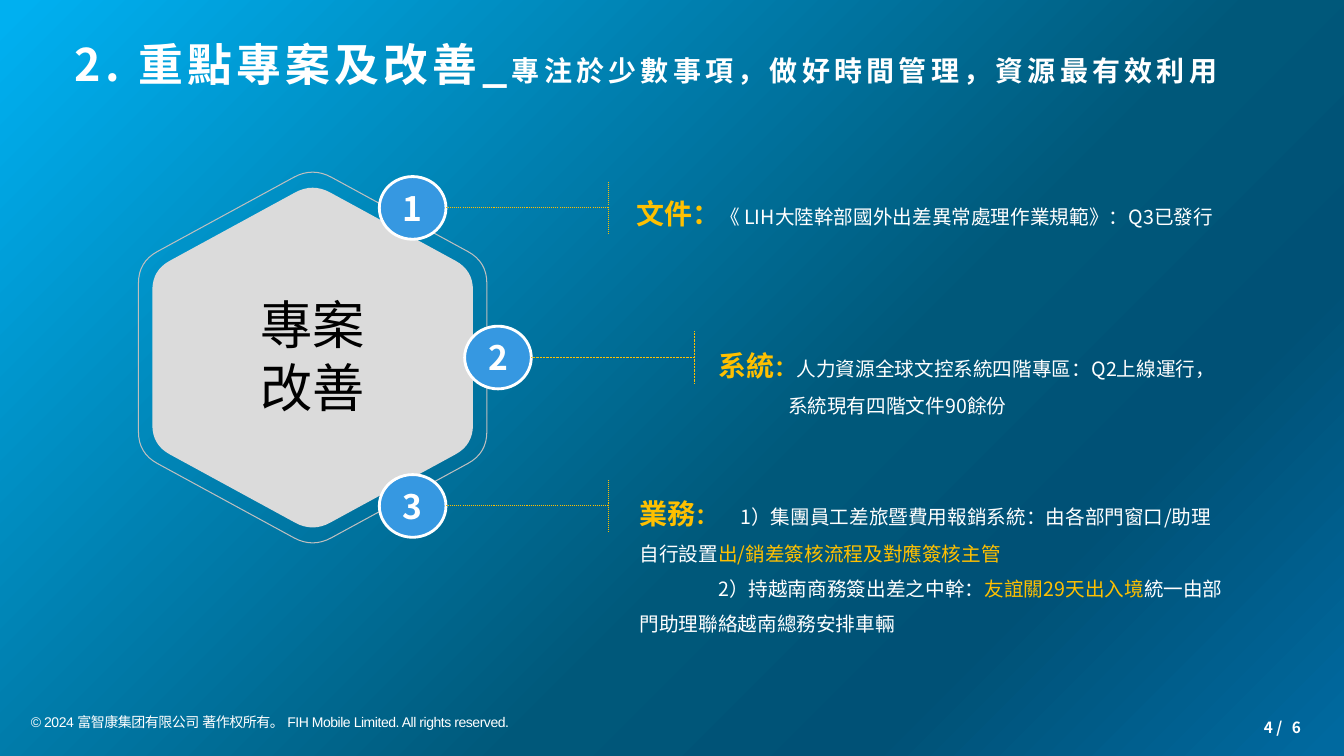
from lxml.etree import SubElement
from pptx import Presentation
from pptx.dml.color import RGBColor
from pptx.enum.dml import MSO_LINE
from pptx.enum.shapes import MSO_CONNECTOR, MSO_SHAPE
from pptx.enum.text import MSO_ANCHOR, MSO_AUTO_SIZE, PP_ALIGN
from pptx.oxml import parse_xml
from pptx.oxml.ns import nsdecls, qn
from pptx.util import Cm, Pt

WHITE = RGBColor(0xFF, 0xFF, 0xFF)
BLACK = RGBColor(0x00, 0x00, 0x00)
GOLD = RGBColor(0xFF, 0xC0, 0x00)
BADGE_BLUE = RGBColor(0x36, 0x98, 0xE1)
HEXAGON_GREY = RGBColor(0xDB, 0xDB, 0xDB)
OUTLINE_GREY = RGBColor(0xBF, 0xBF, 0xBF)
GRADIENT = [
    (1, RGBColor(0x00, 0xB0, 0xF0)),
    (60, RGBColor(0x00, 0x58, 0x7A)),
    (77, RGBColor(0x00, 0x51, 0x76)),
    (99, RGBColor(0x00, 0x69, 0x9F)),
]
SANS = "Noto Sans CJK SC"
WIDTH, HEIGHT = 33.87, 19.05

# Each item: badge centre, text box (left, top, width, height), alignment,
# line width and paragraphs of (first-line indent, tab stop, runs)
ITEMS = [
    ((10.4, 5.24), (16.03, 4.52, 15.29, 2.06), PP_ALIGN.JUSTIFY, 0.75, [
        (0, None, [("文件：", 20, GOLD, True),
                   ("《 LIH大陸幹部國外出差異常處理作業規範》：Q3已發行", 14, WHITE, False)]),
    ]),
    ((12.55, 9.01), (18.1, 8.36, 13.21, 2.18), PP_ALIGN.LEFT, 0.5, [
        (0, None, [("系統", 20, GOLD, True), ("：", 16, GOLD, True),
                   ("人力資源全球文控系統四階專區：Q2上線運行，", 14, WHITE, False)]),
        (1.76, None, [("系統現有四階文件90餘份", 14, WHITE, False)]),
    ]),
    ((10.4, 12.75), (16.12, 12.09, 14.7, 3.99), PP_ALIGN.LEFT, 0.75, [
        (0, 2.18, [("業務", 20, GOLD, True), ("：\t", 16, GOLD, True),
                   ("1）集團員工差旅暨費用報銷系統：由各部門窗口/助理自行設置", 14, WHITE, False),
                   ("出/銷差簽核流程及對應簽核主管", 14, GOLD, False)]),
        (1.98, None, [("2）持越南商務簽出差之中幹：", 14, WHITE, False),
                      ("友誼關29天出入境", 14, GOLD, False),
                      ("統一由部門助理聯絡越南總務安排車輛", 14, WHITE, False)]),
    ]),
]


def add_run(paragraph, text, size, color, bold=False, font=SANS, spacing=None):
    run = paragraph.add_run()
    run.text = text
    run.font.size = Pt(size)
    run.font.bold = bold
    run.font.color.rgb = color
    run.font.name = font
    properties = run.font._element
    SubElement(properties, qn("a:ea")).set("typeface", font)
    if spacing is not None:
        properties.set("spc", str(round(spacing * 100)))


def prepare_frame(shape, anchor=MSO_ANCHOR.TOP, margin=0):
    frame = shape.text_frame
    frame.word_wrap = True
    frame.auto_size = MSO_AUTO_SIZE.NONE
    frame.vertical_anchor = anchor
    frame.margin_left = frame.margin_right = Cm(margin)
    frame.margin_top = frame.margin_bottom = Cm(margin / 2)
    return frame


def add_text_box(slide, box, anchor=MSO_ANCHOR.TOP):
    return prepare_frame(slide.shapes.add_textbox(*map(Cm, box)), anchor)


def add_background(slide, box):
    shape = slide.shapes.add_shape(MSO_SHAPE.RECTANGLE, *map(Cm, box))
    shape.shadow.inherit = False
    shape.line.fill.background()
    stops = "".join(
        f'<a:gs pos="{position * 1000}"><a:srgbClr val="{color}"/></a:gs>'
        for position, color in GRADIENT)
    shape._element.spPr.find(qn("a:prstGeom")).addnext(parse_xml(
        f'<a:gradFill {nsdecls("a")} rotWithShape="1"><a:gsLst>{stops}</a:gsLst>'
        '<a:lin ang="2700000" scaled="0"/></a:gradFill>'))


def add_title(slide, box):
    title = slide.shapes.title
    title.left, title.top, title.width, title.height = map(Cm, box)
    paragraph = prepare_frame(title, margin=0.25).paragraphs[0]
    paragraph.alignment = PP_ALIGN.LEFT
    paragraph.line_spacing = Pt(42)
    add_run(paragraph, "2. 重點專案及改善_", 32, WHITE, True, spacing=3)
    add_run(paragraph, "專注於少數事項，做好時間管理，資源最有效利用", 20, WHITE, True, spacing=3)


def add_rounded_hexagon(slide, center, half_width, half_height, shoulder, cut):
    """Pointed-top hexagon; each corner is a curve starting `cut` away."""
    x, y = center
    corners = [(x, y - half_height), (x + half_width, y - shoulder),
               (x + half_width, y + shoulder), (x, y + half_height),
               (x - half_width, y + shoulder), (x - half_width, y - shoulder)]

    def toward(start, end, distance):
        dx, dy = end[0] - start[0], end[1] - start[1]
        ratio = distance / (dx * dx + dy * dy) ** 0.5
        return Cm(start[0] + dx * ratio), Cm(start[1] + dy * ratio)

    points = []
    for index, corner in enumerate(corners):
        previous, following = corners[index - 1], corners[(index + 1) % 6]
        points += [toward(corner, previous, cut), toward(corner, previous, cut / 3),
                   toward(corner, following, cut / 3), toward(corner, following, cut)]
    builder = slide.shapes.build_freeform(*points[0])
    builder.add_line_segments(points[1:], close=True)
    shape = builder.convert_to_shape()
    shape.shadow.inherit = False

    # Turn the last three points of every corner into one curve
    segments = list(shape._element.iter(qn("a:lnTo")))
    for first in range(0, 24, 4):
        corner_segments = segments[first:first + 3]
        curve = parse_xml(f'<a:cubicBezTo {nsdecls("a")}/>')
        corner_segments[0].addprevious(curve)
        for segment in corner_segments:
            curve.append(segment[0])
            segment.getparent().remove(segment)
    return shape


def add_hexagon_panel(slide, center):
    x, y = center
    panel = add_rounded_hexagon(slide, center, 4.04, 4.4, 2.2, 0.5)
    panel.fill.solid()
    panel.fill.fore_color.rgb = HEXAGON_GREY
    panel.line.fill.background()

    frame = add_text_box(slide, (x - 2.04, y - 1.65, 4.09, 3.2))
    for index, text in enumerate(["專案", "改善"]):
        paragraph = frame.add_paragraph() if index else frame.paragraphs[0]
        paragraph.alignment = PP_ALIGN.CENTER
        paragraph.line_spacing = Pt(45)
        add_run(paragraph, text, 37.3, BLACK)

    outline = add_rounded_hexagon(slide, center, 4.39, 4.8, 2.41, 0.54)
    outline.fill.background()
    outline.line.color.rgb = OUTLINE_GREY
    outline.line.width = Pt(0.75)


def add_dotted_line(slide, start, end, width):
    line = slide.shapes.add_connector(MSO_CONNECTOR.STRAIGHT, *map(Cm, start + end))
    line.line.color.rgb = GOLD
    line.line.width = Pt(width)
    line.line.dash_style = MSO_LINE.ROUND_DOT
    SubElement(line._element.spPr, qn("a:effectLst"))


def add_item(slide, number, center, box, alignment, line_width, paragraphs):
    # Numbered badge
    x, y = center
    badge = slide.shapes.add_shape(
        MSO_SHAPE.OVAL, Cm(x - 0.84), Cm(y - 0.79), Cm(1.68), Cm(1.58))
    badge.shadow.inherit = False
    badge.fill.solid()
    badge.fill.fore_color.rgb = BADGE_BLUE
    badge.line.color.rgb = WHITE
    badge.line.width = Pt(2)
    paragraph = prepare_frame(badge, MSO_ANCHOR.MIDDLE, 0.25).paragraphs[0]
    paragraph.alignment = PP_ALIGN.CENTER
    add_run(paragraph, str(number), 24, WHITE, True)

    # Leader and tick
    tick = x + 4.94
    add_dotted_line(slide, (x + 0.84, y), (tick, y), line_width)
    add_dotted_line(slide, (tick, y - 0.66), (tick, y + 0.66), line_width)

    # Description
    frame = add_text_box(slide, box)
    frame.margin_top = Cm(0.39)
    for index, (indent, tab, runs) in enumerate(paragraphs):
        paragraph = frame.add_paragraph() if index else frame.paragraphs[0]
        paragraph.alignment = alignment
        paragraph.line_spacing = Pt(25)
        properties = paragraph._p.get_or_add_pPr()
        properties.set("marL", "0")
        properties.set("indent", str(Cm(indent)))
        if tab:
            tabs = SubElement(properties, qn("a:tabLst"))
            SubElement(tabs, qn("a:tab"), pos=str(Cm(tab)), algn="l")
        for run in runs:
            add_run(paragraph, *run)


def add_footer(slide, top):
    paragraph = add_text_box(slide, (0.78, top, 20.24, 0.34)).paragraphs[0]
    paragraph.line_spacing = Pt(9.1)
    add_run(paragraph, "© 2024 富智康集团有限公司 著作权所有。 FIH Mobile Limited. All rights reserved.",
            10, WHITE, font="Arial", spacing=-0.3)
    for text, left, alignment in [("4 /", 30.49, PP_ALIGN.RIGHT), ("6", 31.76, PP_ALIGN.CENTER)]:
        frame = add_text_box(slide, (left, top, 1.83, 0.47), MSO_ANCHOR.MIDDLE)
        frame.paragraphs[0].alignment = alignment
        add_run(frame.paragraphs[0], text, 11, WHITE, True)


def main():
    presentation = Presentation()
    presentation.slide_width, presentation.slide_height = Cm(WIDTH), Cm(HEIGHT)
    slide = presentation.slides.add_slide(presentation.slide_layouts[5])
    add_background(slide, (0, 0, WIDTH, HEIGHT))
    # The title is stacked above the background
    slide.shapes._spTree.append(slide.shapes.title._element)
    add_title(slide, (1.64, 0.67, 30.56, 2.13))
    add_hexagon_panel(slide, (7.88, 9.01))
    for number, item in enumerate(ITEMS, 1):
        add_item(slide, number, *item)
    add_footer(slide, 18.09)
    presentation.save("out.pptx")


if __name__ == "__main__":
    main()
